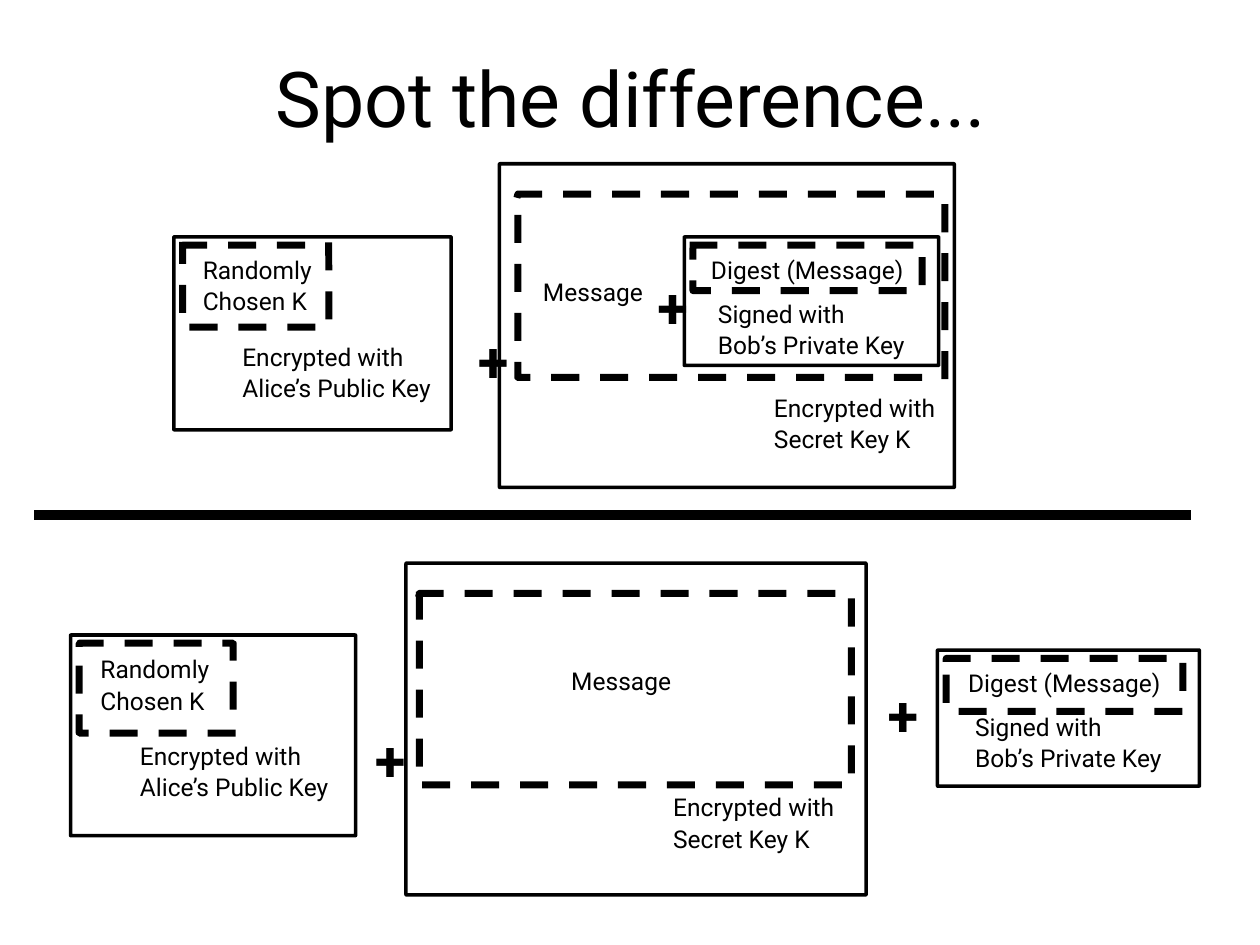
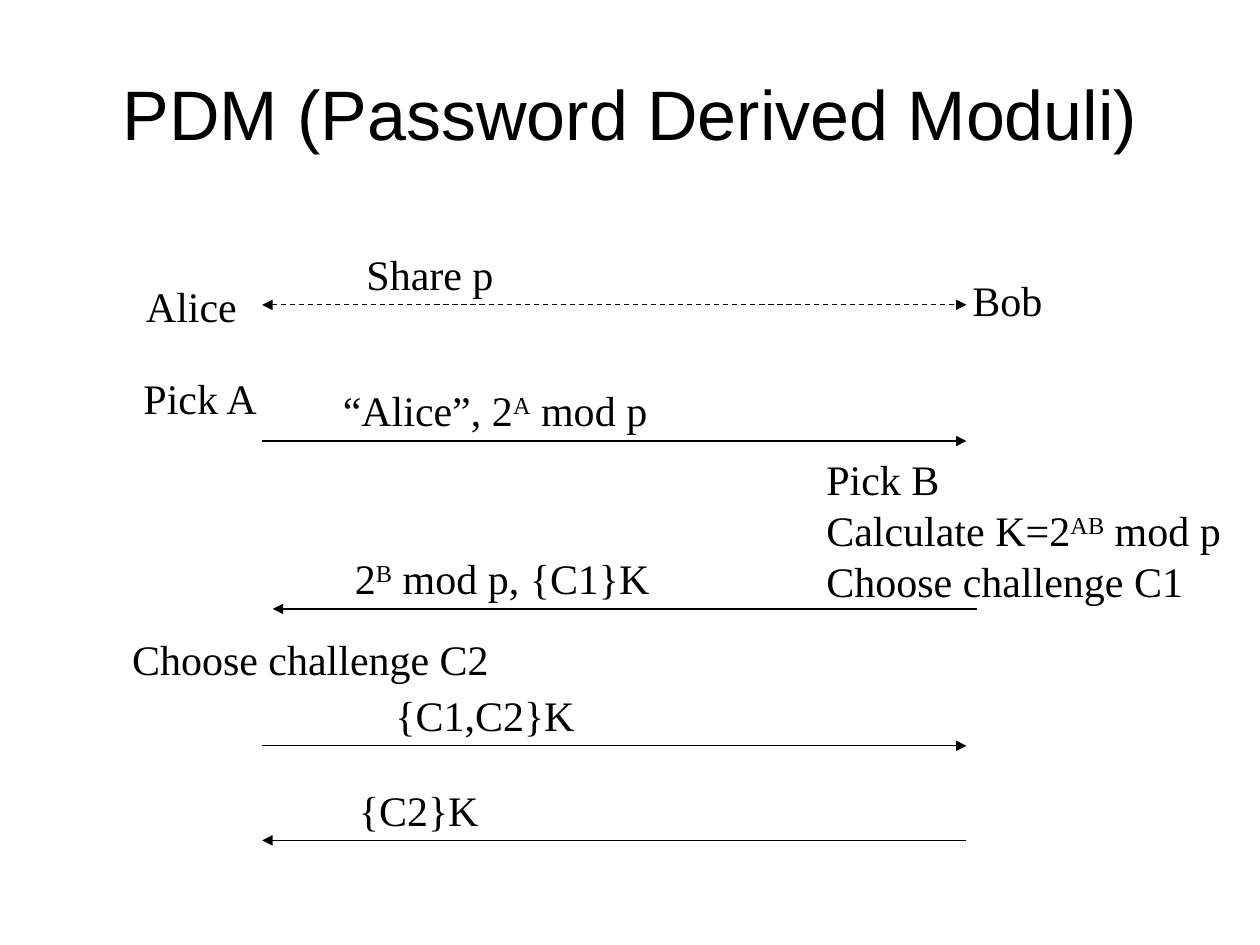
import pptx
import pptx.util
import pptx.dml.color
import pptx.enum.dml
import pptx.enum.shapes
import pptx.enum.text
import pptx.oxml
import pptx.oxml.ns

Pt = pptx.util.Pt
BLACK = pptx.dml.color.RGBColor(0, 0, 0)
WHITE = pptx.dml.color.RGBColor(255, 255, 255)
SANS, SERIF, HEAD = "Roboto", "Times New Roman", "Arial"
DASH = pptx.enum.dml.MSO_LINE.DASH
ROUND = pptx.enum.shapes.MSO_SHAPE.ROUNDED_RECTANGLE


class Deck:
    """Holds the style and the slide being drawn."""

    def __init__(self):
        self.prs = pptx.Presentation()
        self.prs.slide_width, self.prs.slide_height = Pt(720), Pt(540)

    def page(self, text, box, font, size, gap, inset):
        self.slide = self.prs.slides.add_slide(self.prs.slide_layouts[5])
        fill = self.slide.background.fill
        fill.solid()
        fill.fore_color.rgb = WHITE
        self.home = self.slide.shapes
        title = self.home.title
        title.left, title.top, title.width, title.height = map(Pt, box)
        frame = title.text_frame
        frame.word_wrap = True
        frame.auto_size = pptx.enum.text.MSO_AUTO_SIZE.NONE
        frame.vertical_anchor = pptx.enum.text.MSO_ANCHOR.MIDDLE
        self.inset(frame, *inset)
        par = frame.paragraphs[0]
        par.alignment = pptx.enum.text.PP_ALIGN.CENTER
        par.line_spacing = gap
        self.run(par, text, font, size)

    def group(self):
        self.home = self.slide.shapes.add_group_shape().shapes

    def ungroup(self):
        self.home = self.slide.shapes

    def inset(self, frame, side, edge):
        frame.margin_left = frame.margin_right = Pt(side)
        frame.margin_top = frame.margin_bottom = Pt(edge)

    def run(self, par, text, font, size, bold=False, sup=False):
        run = par.add_run()
        run.text = text
        run.font.name, run.font.size = font, Pt(size)
        run.font.bold = bold
        run.font.color.rgb = BLACK
        if sup:
            run.font._element.set("baseline", "30000")

    def text(self, box, lines, font, size, gaps, bold=False):
        """Each line is split at ^; every second part is raised."""
        frame = box.text_frame
        frame.word_wrap = False
        frame.auto_size = pptx.enum.text.MSO_AUTO_SIZE.SHAPE_TO_FIT_TEXT
        frame.vertical_anchor = pptx.enum.text.MSO_ANCHOR.TOP
        self.inset(frame, 7.2, 3.6)
        for i, line in enumerate(lines):
            par = frame.add_paragraph() if i else frame.paragraphs[0]
            par.alignment = pptx.enum.text.PP_ALIGN.LEFT
            par.line_spacing = gaps[min(i, 1)]
            for j, part in enumerate(line.split("^")):
                self.run(par, part, font, size, bold, j % 2 == 1)

    def note(self, x, y, w, *lines):
        h = 24.5 if len(lines) == 1 else 41.8
        box = self.home.add_textbox(Pt(x), Pt(y), Pt(w), Pt(h))
        self.text(box, lines, SANS, 14, (1.01, 1.06))

    def plus(self, x, y):
        box = self.home.add_textbox(Pt(x), Pt(y), Pt(33.1), Pt(46))
        self.text(box, ["+"], SANS, 32, (1.01, 1.06), True)

    def step(self, x, y, w, *lines):
        box = self.shape(x, y, w, 34.6 if len(lines) == 1 else 92)
        box.line.fill.background()
        self.text(box, lines, SERIF, 24, (0.93, 1.0))

    def shape(self, x, y, w, h):
        box = self.home.add_shape(ROUND, Pt(x), Pt(y), Pt(w), Pt(h))
        box.adjustments[0] = 0.002
        box.shadow.inherit = False
        box.fill.background()
        return box

    def pen(self, line, width, dash=False, square=True):
        line.color.rgb = BLACK
        line.width = Pt(width)
        if dash:
            line.dash_style = DASH
        ln = line._get_or_add_ln()
        if square:
            ln.set("cap", "sq")
        return ln

    def frame(self, x, y, w, h, dash=False):
        self.pen(self.shape(x, y, w, h).line, 4 if dash else 2, dash)

    def line(self, x, y, end, width, head=False, tail=False, dash=False, square=False):
        kind = pptx.enum.shapes.MSO_CONNECTOR.STRAIGHT
        link = self.home.add_connector(kind, Pt(x), Pt(y), Pt(end), Pt(y))
        ln = self.pen(link.line, width, dash, square)
        for name, wanted in (("a:headEnd", head), ("a:tailEnd", tail)):
            if wanted:
                ln.append(pptx.oxml.parse_xml(
                    f'<{name} {pptx.oxml.ns.nsdecls("a")} type="triangle"/>'))
        link._element.spPr.append(pptx.oxml.parse_xml(
            f'<a:effectLst {pptx.oxml.ns.nsdecls("a")}/>'))

    # Blocks of the message diagram; grow widens the frames
    def key(self, x, y, shift=0, grow=0):
        self.note(x + 9.4 + shift, y + 6.8 + shift, 80.6, "Randomly", "Chosen K")
        self.frame(x + 5, y + 4.7, 83.5 + grow, 46.8 + grow, True)
        self.note(x + 32 + shift, y + 56.4 + shift, 125.3,
                  "Encrypted with", "Alice’s Public Key")
        self.frame(x, y, 158.4 + grow, 110.2 + grow)

    def mail(self, x, y, word, left, foot, wide=0, tall=0):
        self.note(x + word[0], y + word[1], 73.4, "Message")
        self.frame(x + left, y + 17.3, 244 + wide, 104.8 + tall, True)
        self.note(x + foot, y + 127.3, 113, "Encrypted with", "Secret Key K")
        self.frame(x, y, 260 + wide, 185 + tall)

    def digest(self, x, y, shift=0, grow=0):
        self.note(x + 8.2 + shift, y + 6.7, 127.4, "Digest (Message)")
        self.note(x + 12.2 + shift, y + 31.7, 126.7, "Signed with", "Bob’s Private Key")
        self.frame(x + 5, y + 4.7, 131 + grow, 26 + grow, True)
        self.frame(x, y, 145.4 + grow, 73.4 + grow)


deck = Deck()

# Slide 1: signature inside the encryption, then outside it
deck.page("Spot the difference...", (54.7, 7.9, 612, 94.3), SANS, 44, 1.01, (0, 0))
deck.group()
deck.key(99.4, 135.4)
deck.mail(285.4, 93.6, (17.8, 60.8), 10.5, 149.8)
deck.plus(266, 182.9)
deck.digest(391, 135.4)
deck.plus(368.6, 151.9)
deck.ungroup()

deck.key(40.3, 362.9, 0.6, 4.5)
deck.mail(232, 321.8, (87.3, 55.1), 7.7, 145.6, 2.9, 4.6)
deck.plus(207.2, 410.4)
deck.digest(535.7, 371.5, 2.2, 4.3)
deck.plus(500.2, 385.2)
deck.line(22.3, 294.5, 677.5, 5.67, square=True)

# Slide 2: protocol exchange
deck.page("PDM (Password Derived Moduli)", (36, 22, 648, 90), HEAD, 40, 0.93, (7.2, 3.6))
deck.step(76.3, 159.1, 66.2, "Alice")
deck.step(548.6, 156, 54.6, "Bob")
deck.step(74.9, 212, 80.6, "Pick A")
deck.step(465.1, 258, 239.8, "Pick B", "Calculate K=2^AB^ mod p",
          "Choose challenge C1")
deck.step(68.4, 361.2, 218.2, "Choose challenge C2")

# Messages: arrow height, left shift, arrowheads, label
LEFT, SPAN, RISE = 149.8, 402.5, 33
for y, shift, head, tail, x, w, label in (
        (174.2, 0, True, True, 202.3, 87.1, "Share p"),
        (252, 0, False, True, 188.8, 188.6, "“Alice”, 2^A^ mod p"),
        (348, 6.1, True, False, 195.8, 182.9, "2^B^ mod p, {C1}K"),
        (426.2, 0, False, True, 218.9, 116.6, "{C1,C2}K"),
        (480.2, 0, True, False, 198, 82.8, "{C2}K")):
    start = LEFT + shift
    deck.line(start, y, start + SPAN, 0.74, head, tail, head and tail)
    deck.step(x, y - RISE, w, label)

deck.prs.save("out.pptx")
